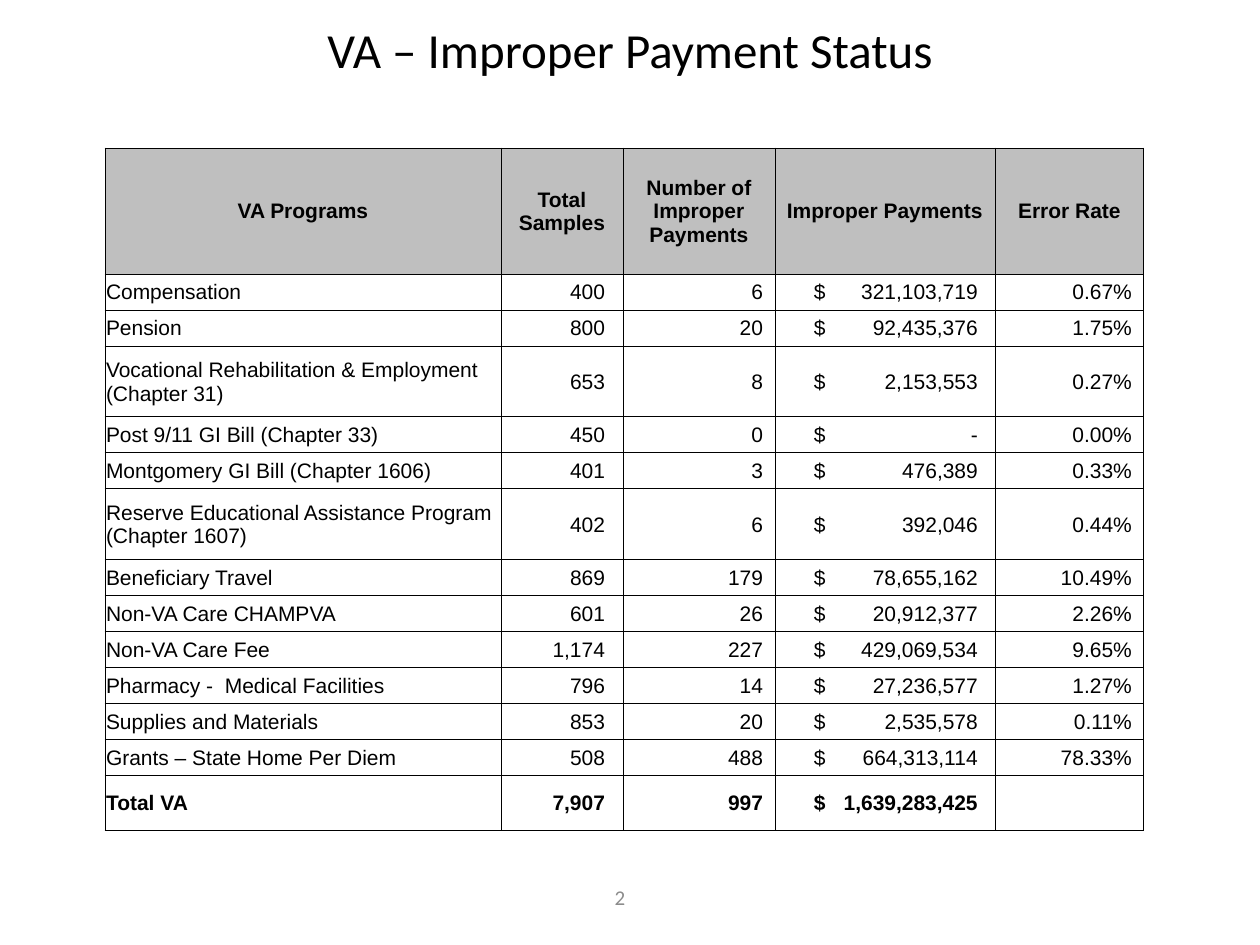
from lxml import etree
from pptx import Presentation
from pptx import util as u
from pptx.dml.color import RGBColor
from pptx.enum import text
from pptx.oxml.ns import qn

TITLE = "VA – Improper Payment Status"
PAGE = "2"
HEADER = ("VA Programs", "Total Samples", "Number of Improper Payments",
          "Improper Payments", "Error Rate")
PROGRAMS = [
    ("Compensation", "400", "6", "321,103,719", "0.67%"),
    ("Pension", "800", "20", "92,435,376", "1.75%"),
    ("Vocational Rehabilitation & Employment (Chapter 31)", "653", "8", "2,153,553", "0.27%"),
    ("Post 9/11 GI Bill (Chapter 33)", "450", "0", "-", "0.00%"),
    ("Montgomery GI Bill (Chapter 1606)", "401", "3", "476,389", "0.33%"),
    ("Reserve Educational Assistance Program (Chapter 1607)", "402", "6", "392,046", "0.44%"),
    ("Beneficiary Travel", "869", "179", "78,655,162", "10.49%"),
    ("Non-VA Care CHAMPVA", "601", "26", "20,912,377", "2.26%"),
    ("Non-VA Care Fee", "1,174", "227", "429,069,534", "9.65%"),
    ("Pharmacy -  Medical Facilities", "796", "14", "27,236,577", "1.27%"),
    ("Supplies and Materials", "853", "20", "2,535,578", "0.11%"),
    ("Grants – State Home Per Diem", "508", "488", "664,313,114", "78.33%"),
]
TOTAL = ("Total VA", "7,907", "997", "1,639,283,425", "")

THEME = {
    "ink": "000000", "muted": "8C8C8C", "header": "BFBFBF",
    "title_font": "Calibri", "table_font": "Arial",
    "title_size": 28, "table_size": 12, "page_size": 12, "border": 0.5,
}
COL_WIDTHS = (396, 122, 152, 220, 149)
HEADER_H, LINE_H, TWO_LINE_H, TOTAL_H = 126, 36, 71, 55
ONE_LINE_CHARS = 40
LEFT_INSETS = (1, 1, 1, 39, 1)
RIGHT_INSETS = (1, 18, 12, 12, 12)
MONEY_COL, MONEY_TAB = 3, 164
ALIGN = text.PP_ALIGN


def px(n):
    return u.Emu(round(n * 914400 / 126))


def style(p, font, size, color, align, bold=False):
    p.alignment = align
    f = p.font
    f.name, f.size, f.bold = font, u.Pt(size), bold
    f.color.rgb = RGBColor.from_string(color)


def add_right_tab(p, pos):
    tabs = etree.SubElement(p._p.get_or_add_pPr(), qn("a:tabLst"))
    etree.SubElement(tabs, qn("a:tab"), pos=str(px(pos)), algn="r")


def set_borders(cell):
    pr = cell._tc.get_or_add_tcPr()
    for i, side in enumerate(("lnL", "lnR", "lnT", "lnB")):
        ln = etree.Element(qn("a:" + side), w=str(u.Pt(THEME["border"])))
        fill = etree.SubElement(ln, qn("a:solidFill"))
        etree.SubElement(fill, qn("a:srgbClr"), val=THEME["ink"])
        pr.insert(i, ln)


def fill_cell(cell, value, col, header, bold):
    cell.vertical_anchor = text.MSO_ANCHOR.MIDDLE
    cell.margin_left = px(1 if header else LEFT_INSETS[col])
    cell.margin_right = px(1 if header else RIGHT_INSETS[col])
    cell.margin_top, cell.margin_bottom = px(1), 0
    p = cell.text_frame.paragraphs[0]
    align = ALIGN.CENTER if header else ALIGN.RIGHT
    if not header and col in (0, MONEY_COL):
        align = ALIGN.LEFT
    if not header and col == MONEY_COL:
        add_right_tab(p, MONEY_TAB)
        value = "$\t" + value
    if value:
        p.add_run().text = value
    style(p, THEME["table_font"], THEME["table_size"], THEME["ink"], align, bold)
    if header:
        cell.fill.solid()
        cell.fill.fore_color.rgb = RGBColor.from_string(THEME["header"])
    else:
        cell.fill.background()
    set_borders(cell)


def add_programs_table(s):
    rows = [HEADER, *PROGRAMS, TOTAL]
    heights = [HEADER_H,
               *(TWO_LINE_H if len(r[0]) > ONE_LINE_CHARS else LINE_H for r in PROGRAMS),
               TOTAL_H]
    table = s.shapes.add_table(len(rows), len(HEADER), px(105), px(148),
                               px(sum(COL_WIDTHS)), px(sum(heights))).table
    table.horz_banding = False
    for column, width in zip(table.columns, COL_WIDTHS):
        column.width = px(width)
    for i, (values, height) in enumerate(zip(rows, heights)):
        table.rows[i].height = px(height)
        for j, value in enumerate(values):
            fill_cell(table.cell(i, j), value, j, i == 0, values in (HEADER, TOTAL))


def main():
    prs = Presentation()
    prs.slide_width, prs.slide_height = px(1260), px(945)
    s = prs.slides.add_slide(prs.slide_layouts[5])

    title = s.shapes.title
    title.left, title.top, title.width, title.height = px(63), px(0), px(1134), px(98)
    page = s.shapes.add_textbox(px(473), px(872), px(294), px(50))
    for sp, words, size, color in ((title, TITLE, THEME["title_size"], THEME["ink"]),
                                   (page, PAGE, THEME["page_size"], THEME["muted"])):
        tf = sp.text_frame
        tf.text = words
        tf.word_wrap = True
        tf.auto_size = text.MSO_AUTO_SIZE.NONE
        tf.vertical_anchor = text.MSO_ANCHOR.MIDDLE
        style(tf.paragraphs[0], THEME["title_font"], size, color, ALIGN.CENTER)

    add_programs_table(s)
    prs.save("out.pptx")


if __name__ == "__main__":
    main()
